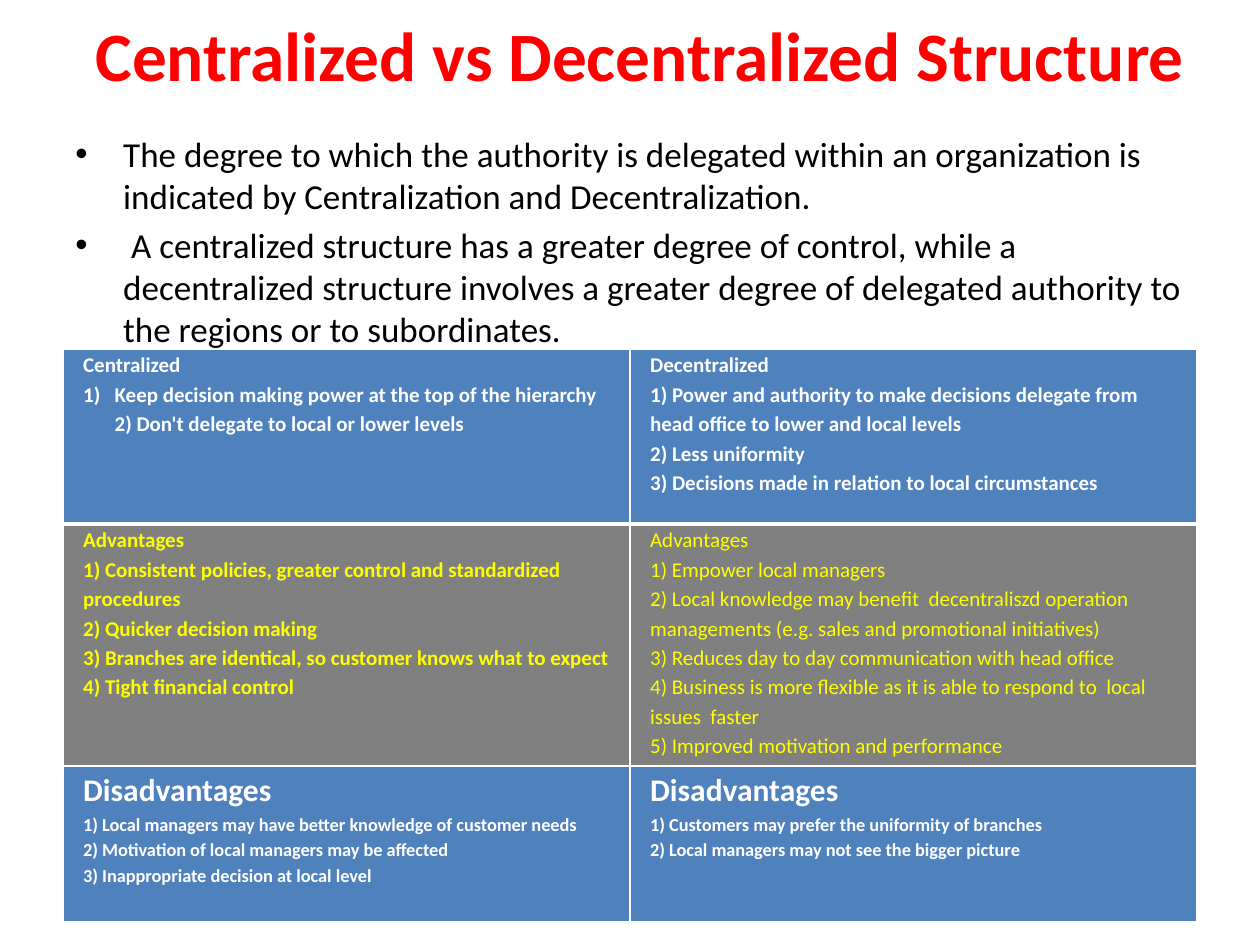
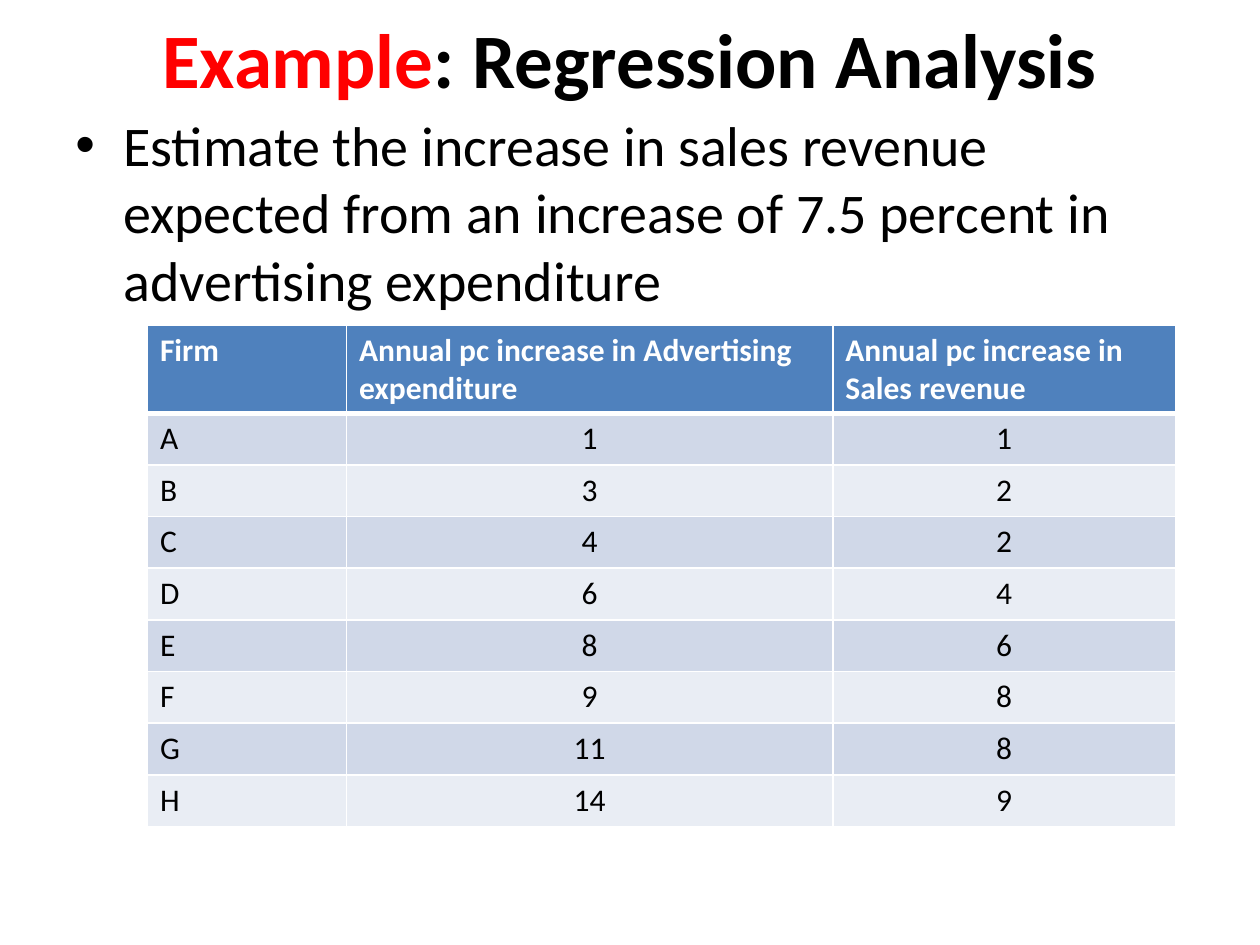
from copy import deepcopy

from lxml import etree
from pptx import Presentation
from pptx.dml.color import RGBColor
from pptx.enum.text import MSO_ANCHOR as ANCHOR, PP_ALIGN as ALIGN
from pptx.oxml.ns import qn
from pptx.util import Inches, Pt

FONT = "Calibri"
RED = RGBColor(0xFF, 0x00, 0x00)
BLACK = RGBColor(0x00, 0x00, 0x00)
WHITE = RGBColor(0xFF, 0xFF, 0xFF)
YELLOW = RGBColor(0xFF, 0xFF, 0x00)
BLUE = RGBColor(0x4F, 0x81, 0xBD)
GRAY = RGBColor(0x80, 0x80, 0x80)
BANDS = [RGBColor(0xD0, 0xD8, 0xE8), RGBColor(0xE9, 0xED, 0xF4)]


def write(p, text, size, color, bold=False):
    """Add text to a paragraph; each newline becomes a line break of the same size."""
    for i, line in enumerate(text.split("\n")):
        if i:
            p.add_line_break()
        r = p.add_run()
        r.text = line
        r.font.color.rgb = color
        for name, value in {"name": FONT, "size": Pt(size), "bold": bold}.items():
            setattr(r.font, name, value)
    for br in p._p.findall(qn("a:br")):
        br.append(deepcopy(r._r.rPr))


def add_grid(s, left, top, widths, heights, fills, thick_row=0):
    """Add a table with white borders, thicker below thick_row."""
    frame = s.shapes.add_table(len(heights), len(widths), Inches(left), Inches(top),
                               Inches(sum(widths)), Inches(sum(heights)))
    table = frame.table
    for col, width in zip(table.columns, widths):
        col.width = Inches(width)
    for i, (row, height, fill) in enumerate(zip(table.rows, heights, fills)):
        row.height = Inches(height)
        for cell in row.cells:
            tcPr = cell._tc.get_or_add_tcPr()
            for side in "LRTB":
                thick = (side, i) in [("B", thick_row), ("T", thick_row + 1)]
                ln = etree.SubElement(tcPr, qn(f"a:ln{side}"), w=str(Pt(3 if thick else 1)))
                line_fill = etree.SubElement(ln, qn("a:solidFill"))
                etree.SubElement(line_fill, qn("a:srgbClr"), val=str(WHITE))
            cell.fill.solid()
            cell.fill.fore_color.rgb = fill
    return table


prs = Presentation()
prs.slide_width, prs.slide_height = Inches(10), Inches(7.5)

# Titles and bullets of both slides
slides = [
    {"title": [("Centralized vs Decentralized Structure", RED)],
     "title_size": 39.6, "title_at": (0.58, 0.02, 9, 0.81),
     "bullets": [
         "The degree to which the authority is delegated within an organization is "
         "indicated by Centralization and Decentralization.",
         " A centralized structure has a greater degree of control, while a decentralized "
         "structure involves a greater degree of delegated authority to the regions or to "
         "subordinates."],
     "body_size": 20, "body_at": (0.5, 1, 9, 6.5)},
    {"title": [("Example", RED), (": Regression Analysis", BLACK)],
     "title_size": 44, "title_at": (0.5, 0.04, 9, 0.83),
     "bullets": ["Estimate the increase in sales revenue expected from an increase of "
                 "7.5 percent in advertising expenditure"],
     "body_size": 32, "body_at": (0.5, 0.83, 9, 5.87)},
]
for content in slides:
    s = prs.slides.add_slide(prs.slide_layouts[6])
    tf = s.shapes.add_textbox(*map(Inches, content["title_at"])).text_frame
    tf.word_wrap = True
    tf.vertical_anchor = ANCHOR.MIDDLE
    p = tf.paragraphs[0]
    p.alignment = ALIGN.CENTER
    for text, color in content["title"]:
        write(p, text, content["title_size"], color, bold=True)

    tf = s.shapes.add_textbox(*map(Inches, content["body_at"])).text_frame
    tf.word_wrap = True
    for i, text in enumerate(content["bullets"]):
        p = tf.add_paragraph() if i else tf.paragraphs[0]
        p.space_before = Pt(content["body_size"] * 0.2)
        pPr = p._p.get_or_add_pPr()
        pPr.set("marL", str(Inches(0.38)))
        pPr.set("indent", str(-Inches(0.38)))
        etree.SubElement(pPr, qn("a:buFont"), typeface="Arial")
        etree.SubElement(pPr, qn("a:buChar"), char="•")
        write(p, text, content["body_size"], BLACK)
comparison, regression = prs.slides

# Comparison tables: each cell holds a heading and a list
traits = [
    [("Centralized",
      "Keep decision making power at the top of the hierarchy "
      "2) Don't delegate to local or lower levels"),
     ("Decentralized",
      "1) Power and authority to make decisions delegate from head office to lower and "
      "local levels\n"
      "2) Less uniformity\n"
      "3) Decisions made in relation to local circumstances")],
    [("Advantages",
      "1) Consistent policies, greater control and standardized procedures\n"
      "2) Quicker decision making\n"
      "3) Branches are identical, so customer knows what to expect\n"
      "4) Tight financial control"),
     ("Advantages",
      "1) Empower local managers\n"
      "2) Local knowledge may benefit  decentraliszd operation managements "
      "(e.g. sales and promotional initiatives)\n"
      "3) Reduces day to day communication with head office\n"
      "4) Business is more flexible as it is able to respond to  local issues  faster\n"
      "5) Improved motivation and performance")],
]
drawbacks = [
    [("Disadvantages",
      "1) Local managers may have better knowledge of customer needs\n"
      "2) Motivation of local managers may be affected\n"
      "3) Inappropriate decision at local level"),
     ("Disadvantages",
      "1) Customers may prefer the uniformity of branches\n"
      "2) Local managers may not see the bigger picture")],
]
half_widths = [4.5, 4.5]
traits_table = add_grid(comparison, 0.5, 2.77, half_widths, [1.39, 1.92], [BLUE, GRAY])
drawbacks_table = add_grid(comparison, 0.5, 6.08, half_widths, [1.25], [BLUE])
for table, rows, head_size, list_size in [(traits_table, traits, 12, 12),
                                          (drawbacks_table, drawbacks, 18, 10.5)]:
    for i, row in enumerate(rows):
        for j, (heading, items) in enumerate(row):
            cell = table.cell(i, j)
            cell.margin_left = cell.margin_right = Inches(0.16)
            cell.margin_top = cell.margin_bottom = 0
            tf = cell.text_frame
            color = YELLOW if i else WHITE
            bold = (i, j) != (1, 1)
            for p, text, size in [(tf.paragraphs[0], heading, head_size),
                                  (tf.add_paragraph(), items, list_size)]:
                p.line_spacing = 1.15
                write(p, text, size, color, bold)

pPr = traits_table.cell(0, 0).text_frame.paragraphs[1]._p.get_or_add_pPr()
pPr.set("marL", str(Inches(0.25)))
pPr.set("indent", str(-Inches(0.25)))
etree.SubElement(pPr, qn("a:buFont"), typeface="+mj-lt")
etree.SubElement(pPr, qn("a:buAutoNum"), type="arabicParenR")

# Advertising and sales figures by firm
firms = [
    ("Firm", "Annual pc increase in Advertising expenditure",
     "Annual pc increase in Sales revenue"),
    ("A", 1, 1), ("B", 3, 2), ("C", 4, 2), ("D", 6, 4),
    ("E", 8, 6), ("F", 9, 8), ("G", 11, 8), ("H", 14, 9),
]
table = add_grid(regression, 1.17, 2.58, [1.58, 3.86, 2.72], [0.7] + [0.41] * 8,
                 [BLUE] + BANDS * 4)
for i, row in enumerate(firms):
    for j, value in enumerate(row):
        p = table.cell(i, j).text_frame.paragraphs[0]
        if i and j:
            p.alignment = ALIGN.CENTER
        write(p, str(value), 18, BLACK if i else WHITE, bold=i == 0)

prs.save("out.pptx")
